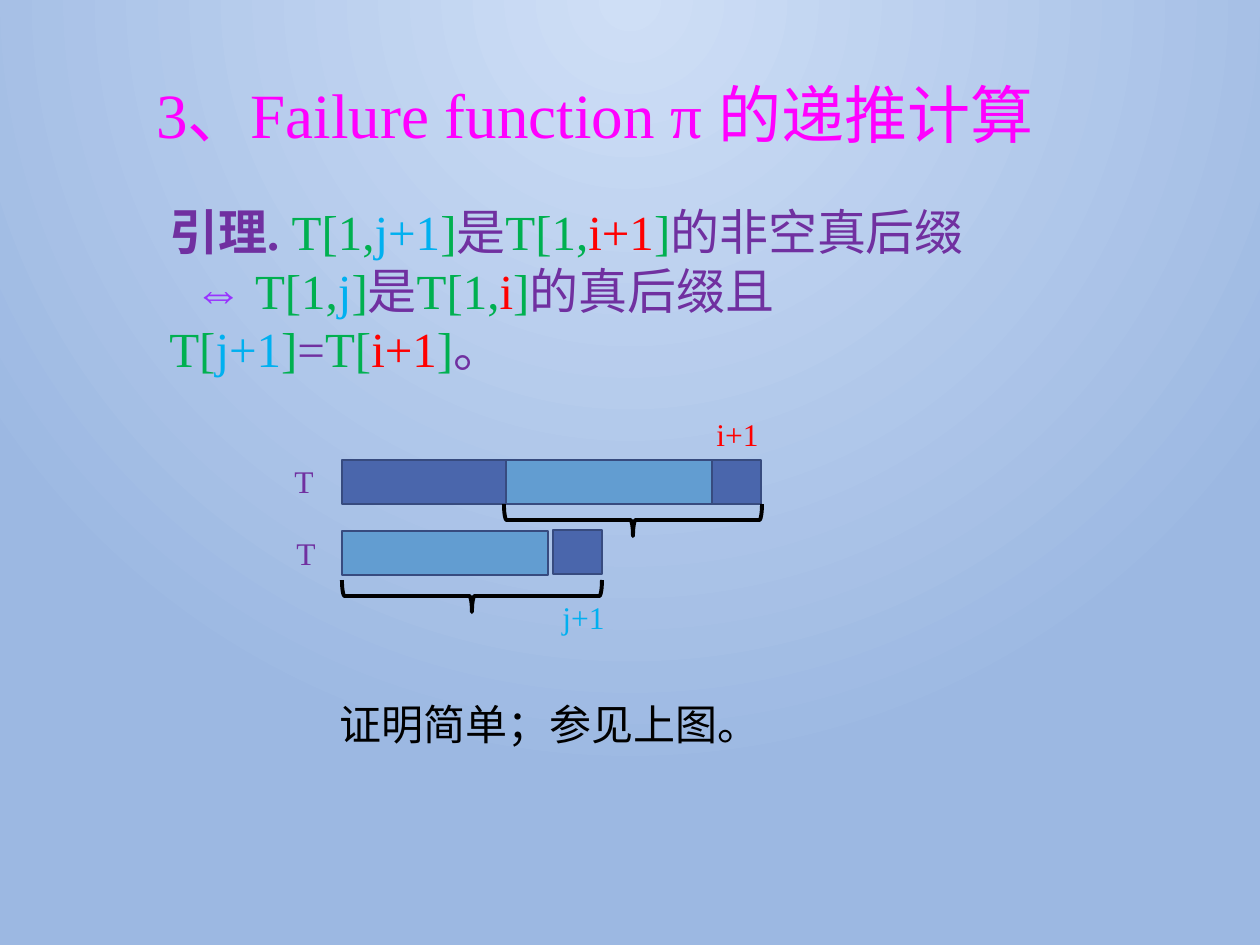
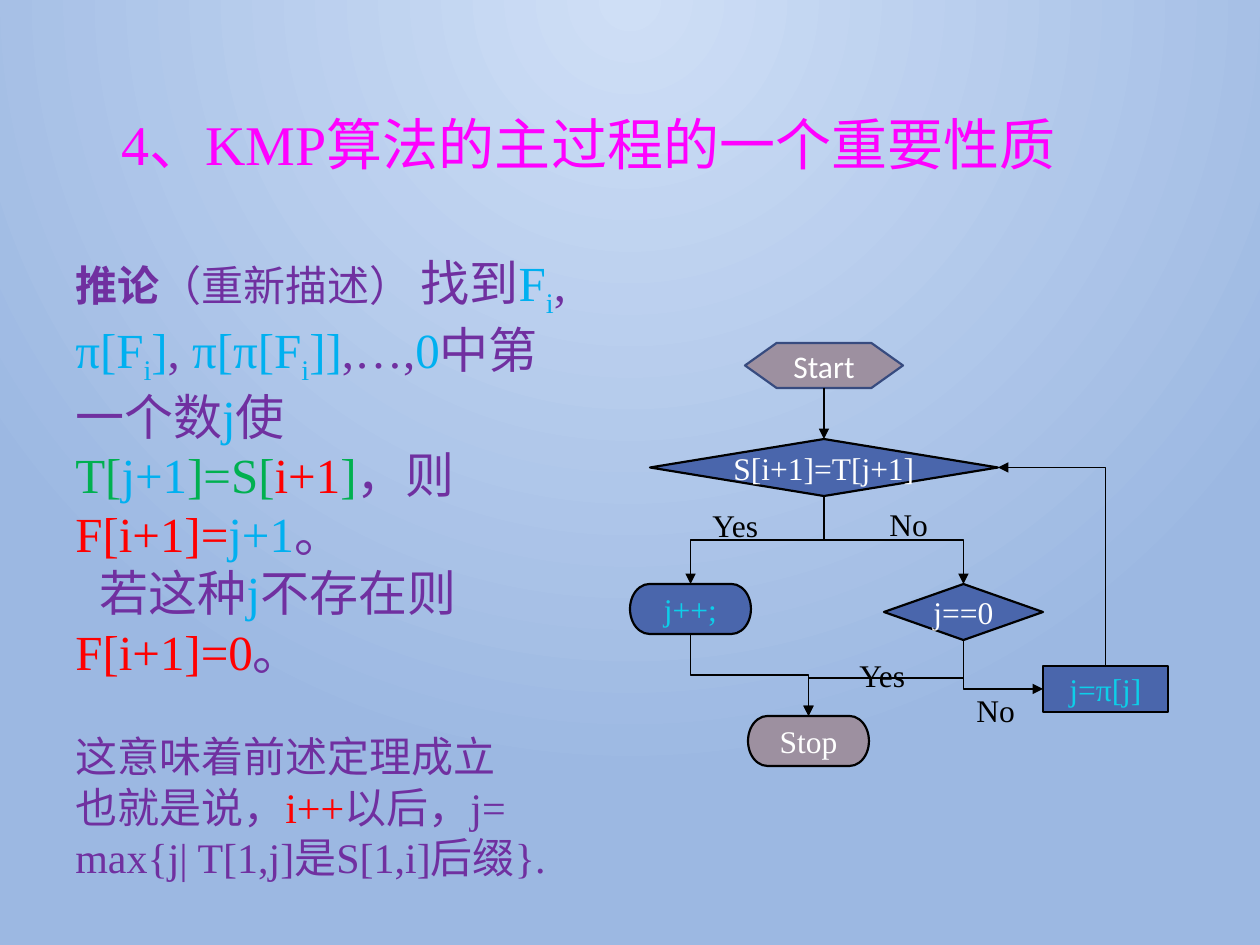
import lxml.etree
import pptx
import pptx.dml.color
import pptx.enum.shapes
import pptx.enum.text
import pptx.oxml
import pptx.oxml.ns
import pptx.util

RGB = pptx.dml.color.RGBColor
SHAPE = pptx.enum.shapes.MSO_SHAPE
CONNECTOR = pptx.enum.shapes.MSO_CONNECTOR
qn = pptx.oxml.ns.qn

SCALE = 914400 / 126
WIDTH, HEIGHT = 1260, 945
SERIF, SANS = "Times New Roman", "Calibri"

BG_INNER = RGB(0xCF, 0xDF, 0xF6)
BG_OUTER = RGB(0x9C, 0xB8, 0xE2)
MAGENTA = RGB(0xFF, 0x00, 0xFF)
PURPLE = RGB(0x70, 0x30, 0xA0)
VIOLET = RGB(0x99, 0x33, 0xFF)
GREEN = RGB(0x00, 0xB0, 0x50)
SKY = RGB(0x00, 0xB0, 0xF0)
CYAN = RGB(0x0D, 0xCF, 0xE9)
RED = RGB(0xFF, 0x00, 0x00)
BLACK = RGB(0x00, 0x00, 0x00)
WHITE = RGB(0xFF, 0xFF, 0xFF)
BLUE = RGB(0x4A, 0x66, 0xAC)
LIGHT_BLUE = RGB(0x62, 0x9D, 0xD1)
MAUVE = RGB(0x9D, 0x90, 0xA0)
EDGE = RGB(0x37, 0x4B, 0x7F)

TOP, LEFT, BOTTOM, RIGHT = range(4)


def px(*lengths):
    return [pptx.util.Emu(round(n * SCALE)) for n in lengths]


def add_run(p, text, font=SERIF, size=18, color=BLACK, bold=False, sub=False):
    """Add text to p, with a line break at each newline."""
    for i, line in enumerate(text.split("\n")):
        if i:
            p.add_line_break()
        r = p.add_run()
        r.text = line
        r.font.name = font
        r.font.size = pptx.util.Pt(size)
        r.font.bold = bold
        r.font.color.rgb = color
        if sub:
            r.font._element.set("baseline", "-25000")


def write(tf, text, line_spacing=None, **style):
    """Fill tf from a string, or from (runs, indent, space before) paragraphs.

    A run is (text, color) or (text, color, other styles).
    """
    if isinstance(text, str):
        text = [([(text, style.pop("color", BLACK))], 0, 0)]
    for i, (runs, indent, before) in enumerate(text):
        p = tf.add_paragraph() if i else tf.paragraphs[0]
        if indent:
            p._p.get_or_add_pPr().set("indent", str(pptx.util.Pt(indent)))
        if before:
            p.space_before = pptx.util.Pt(before)
        if line_spacing:
            p.line_spacing = line_spacing
        for run_text, color, *extra in runs:
            add_run(p, run_text, **{**style, "color": color, **(extra[0] if extra else {})})


def add_text(s, text, x, y, w, h, **style):
    tf = s.shapes.add_textbox(*px(x, y, w, h)).text_frame
    tf.word_wrap = True
    write(tf, text, **style)


def add_title(s, text, x, y, w, h, size):
    add_text(s, text, x, y, w, h, size=size, color=MAGENTA, line_spacing=0.9)


def add_box(s, kind, x, y, w, h, fill=None, line=EDGE, weight=1.25):
    sp = s.shapes.add_shape(kind, *px(x, y, w, h))
    sp.shadow.inherit = False
    if fill is None:
        sp.fill.background()
    else:
        sp.fill.solid()
        sp.fill.fore_color.rgb = fill
    sp.line.color.rgb = line
    sp.line.width = pptx.util.Pt(weight)
    return sp


def add_bar(s, x, y, w, fill):
    add_box(s, SHAPE.RECTANGLE, x, y, w, 44, fill)


def add_under_brace(s, left, top, w, depth=32):
    """Draw a brace that opens upwards, by turning a left brace."""
    x, y = left + (w - depth) / 2, top + (depth - w) / 2
    add_box(s, SHAPE.LEFT_BRACE, x, y, depth, w, line=BLACK, weight=2.25).rotation = 270


def add_node(s, kind, text, x, y, w, h, fill=BLUE, line=BLACK, **style):
    sp = add_box(s, kind, x, y, w, h, fill, line)
    tf = sp.text_frame
    tf.vertical_anchor = pptx.enum.text.MSO_ANCHOR.MIDDLE
    if kind == SHAPE.FLOWCHART_DECISION:
        tf.margin_left = tf.margin_right = 0
        tf.word_wrap = False
    write(tf, text, **style)
    tf.paragraphs[0].alignment = pptx.enum.text.PP_ALIGN.CENTER
    return sp


def add_arrow(s, a, a_side, b, b_side, kind=CONNECTOR.STRAIGHT):
    c = s.shapes.add_connector(kind, 0, 0, 0, 0)
    c.begin_connect(a, a_side)
    c.end_connect(b, b_side)
    c.line.color.rgb = BLACK
    c.line.width = pptx.util.Pt(0.75)
    spPr = c._element.spPr
    lxml.etree.SubElement(spPr.find(qn("a:ln")), qn("a:tailEnd"), type="triangle")
    lxml.etree.SubElement(spPr, qn("a:effectLst"))
    return c


def add_elbow(s, a, a_side, b, b_side):
    """Join a to b by a bent arrow that sets off vertically."""
    c = add_arrow(s, a, a_side, b, b_side, CONNECTOR.ELBOW)
    dx, dy = c.end_x - c.begin_x, c.end_y - c.begin_y
    mid_x, mid_y = (c.begin_x + c.end_x) // 2, (c.begin_y + c.end_y) // 2
    spPr = c._element.spPr
    xfrm = spPr.find(qn("a:xfrm"))
    xfrm.flipH, xfrm.flipV = dx > 0, dy < 0
    xfrm.rot = 270 if dx > 0 or dy < 0 else 90
    c.width, c.height = abs(dy), abs(dx)
    c.left, c.top = mid_x - abs(dy) // 2, mid_y - abs(dx) // 2
    if b_side in (LEFT, RIGHT):
        spPr.find(qn("a:prstGeom")).set("prst", "bentConnector2")


def set_background(master):
    fill = master.background.fill
    fill.gradient()
    for stop, color, position in zip(fill.gradient_stops, (BG_INNER, BG_OUTER), (0, 1)):
        stop.color.rgb = color
        stop.position = position
    lin = master.element.find(".//" + qn("p:bg") + "//" + qn("a:lin"))
    radial = pptx.oxml.parse_xml(
        f'<a:path {pptx.oxml.ns.nsdecls("a")} path="circle">'
        '<a:fillToRect l="43000" t="0" r="43000" b="100000"/></a:path>')
    lin.getparent().replace(lin, radial)


def build_failure_function(s):
    lemma = [
        ([("引理. ", PURPLE, {"bold": True}), ("T[1,", GREEN), ("j+1", SKY), ("]", GREEN),
          ("是", PURPLE), ("T[1,", GREEN), ("i+1", RED), ("]", GREEN),
          ("的非空真后缀", PURPLE)], 0, 0),
        ([("⇔ ", VIOLET), ("T[1,", GREEN), ("j", SKY), ("]", GREEN), ("是", PURPLE),
          ("T[1,", GREEN), ("i", RED), ("]", GREEN), ("的真后缀且", PURPLE),
          ("T[", GREEN), ("j+1", SKY), ("]", GREEN), ("=", PURPLE),
          ("T[", GREEN), ("i+1", RED), ("]", GREEN), ("。", PURPLE)], 14, 0),
    ]
    add_title(s, "3、Failure function π 的递推计算", 144, 78, 1070, 87, 36)
    add_text(s, lemma, 157, 195, 930, 131, size=28)

    text_y, prefix_y = 460, 531
    add_bar(s, 342, text_y, 367, BLUE)
    add_bar(s, 712, text_y, 49, BLUE)
    add_bar(s, 506, text_y, 206, LIGHT_BLUE)
    add_bar(s, 342, prefix_y, 206, LIGHT_BLUE)
    add_bar(s, 553, prefix_y - 1, 49, BLUE)
    add_under_brace(s, 504, 504, 258)
    add_under_brace(s, 342, 580, 260)

    add_text(s, "T", 282, text_y - 4, 55, 50, color=PURPLE)
    add_text(s, "T", 284, prefix_y - 3, 55, 50, color=PURPLE)
    add_text(s, "i+1", 704, 409, 79, 50, color=RED)
    add_text(s, "j+1", 550, 592, 79, 50, color=SKY)
    add_text(s, "证明简单；参见上图。", 327, 692, 716, 63, font=SANS, size=24)


def build_main_property(s):
    small, sub = {"size": 24}, {"sub": True}
    corollary = [
        ([("推论", PURPLE, {"size": 24, "bold": True}), ("（重新描述） ", PURPLE, small),
          ("找到", PURPLE), ("F", SKY), ("i", SKY, sub), (", ", PURPLE),
          ("π[F", SKY), ("i", SKY, sub), ("]", SKY), (", ", PURPLE),
          ("π[π[F", SKY), ("i", SKY, sub), ("]]", SKY), (",…,", PURPLE), ("0", SKY),
          ("中第一个数", PURPLE), ("j", SKY), ("使", PURPLE), ("T[", GREEN), ("j+1", SKY),
          ("]=S[", GREEN), ("i+1", RED), ("]", GREEN), ("，则", PURPLE),
          ("F[i+1]=", RED), ("j+1", SKY), ("。", PURPLE)], 0, 0),
        ([("若这种", PURPLE), ("j", SKY), ("不存在则", PURPLE),
          ("F[i+1]=0", RED), ("。", PURPLE)], 14, 0),
        ([("这意味着前述定理成立\n也就是说，", PURPLE, small), ("i++", RED, small),
          ("以后，j=", PURPLE, small)], 0, 29),
        ([("max{j| T[1,j]是S[1,i]后缀}.", PURPLE, small)], 0, 0),
    ]
    add_title(s, "4、KMP算法的主过程的一个重要性质", 109, 111, 996, 101, 32)
    add_text(s, corollary, 63, 246, 532, 572, size=28)

    start = add_node(s, SHAPE.FLOWCHART_PREPARATION, "Start", 745, 343, 158, 45,
                     MAUVE, EDGE, font=SANS, color=WHITE)
    match = add_node(s, SHAPE.FLOWCHART_DECISION, "S[i+1]=T[j+1]", 650, 439, 348, 57,
                     color=WHITE)
    at_zero = add_node(s, SHAPE.FLOWCHART_DECISION, "j==0", 884, 584, 159, 56, color=WHITE)
    advance = add_node(s, SHAPE.FLOWCHART_TERMINATOR, "j++;", 630, 584, 121, 50, color=CYAN)
    fall_back = add_node(s, SHAPE.FLOWCHART_PROCESS, "j=π[j]", 1043, 666, 125, 46, color=CYAN)
    stop = add_node(s, SHAPE.FLOWCHART_TERMINATOR, "Stop", 748, 716, 121, 50, MAUVE,
                    color=WHITE)

    add_arrow(s, start, BOTTOM, match, TOP)
    for a, a_side, b, b_side in [
            (match, BOTTOM, advance, TOP), (match, BOTTOM, at_zero, TOP),
            (advance, BOTTOM, stop, TOP), (at_zero, BOTTOM, stop, TOP),
            (at_zero, BOTTOM, fall_back, LEFT), (fall_back, TOP, match, RIGHT)]:
        add_elbow(s, a, a_side, b, b_side)
    for answer, x, y in [("Yes", 700, 500), ("No", 877, 499),
                         ("Yes", 847, 650), ("No", 964, 685)]:
        add_text(s, answer, x, y, 121, 50)


def main():
    prs = pptx.Presentation()
    prs.slide_width, prs.slide_height = px(WIDTH, HEIGHT)
    set_background(prs.slide_master)
    for build in (build_failure_function, build_main_property):
        build(prs.slides.add_slide(prs.slide_layouts[6]))
    prs.save("out.pptx")


if __name__ == "__main__":
    main()
